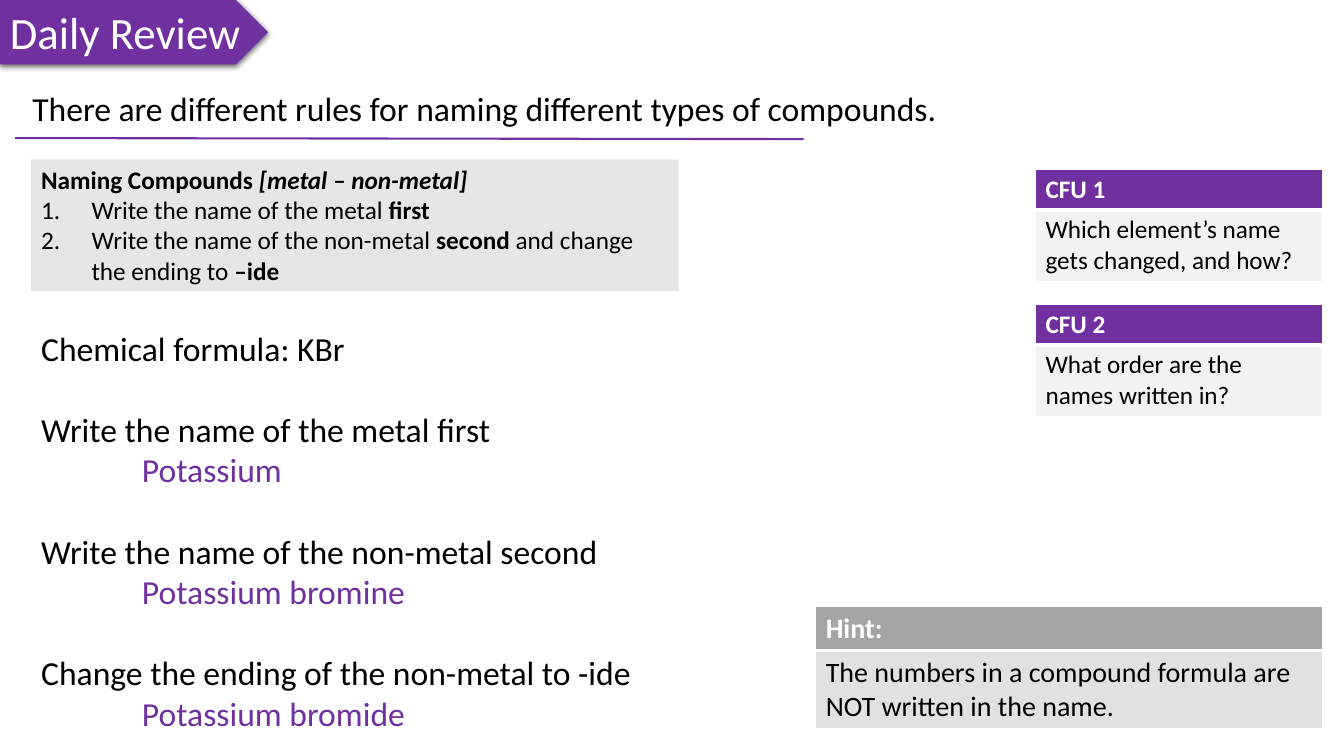
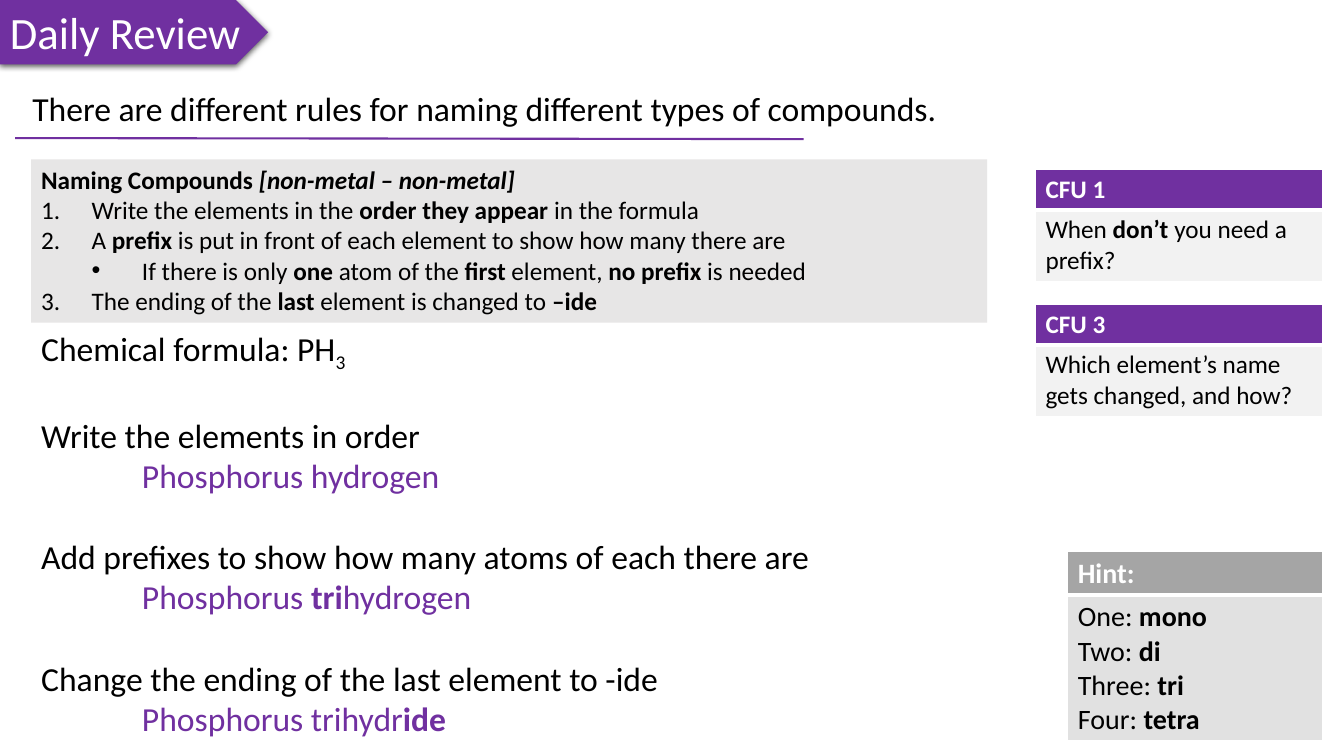
from lxml import etree
from pptx import Presentation
from pptx.dml.color import RGBColor
from pptx.enum.shapes import MSO_CONNECTOR, MSO_SHAPE
from pptx.enum.text import MSO_ANCHOR, MSO_AUTO_SIZE, PP_ALIGN
from pptx.oxml.ns import qn
from pptx.util import Inches, Pt

PENTAGON = MSO_SHAPE.PENTAGON
RECTANGLE = MSO_SHAPE.RECTANGLE
STRAIGHT = MSO_CONNECTOR.STRAIGHT
LEFT = PP_ALIGN.LEFT
TOP = MSO_ANCHOR.TOP
NO_AUTOFIT = MSO_AUTO_SIZE.NONE

FONT = "Calibri"
COLORS = {
    "purple": "7030A0",
    "black": "000000",
    "white": "FFFFFF",
    "rules": "E7E6E6",
    "question": "F2F2F2",
    "hint_header": "A5A5A5",
    "hint": "E1E1E1",
}
TITLE_ONLY = 5
STEP_GAP = Pt(29.3)  # one line of 24 pt text
NUMBER, BULLET = "number", "bullet"


def color(name):
    return RGBColor.from_string(COLORS[name])


def add_element(parent, tag, **attributes):
    element = etree.SubElement(parent, qn(tag))
    for key, value in attributes.items():
        element.set(key, str(value))
    return element


def write(paragraph, text, size=18, fill="black", bold=False, italic=False,
          subscript=False):
    """Append text to the paragraph; parts between asterisks are bold."""
    paragraph.alignment = LEFT
    for index, part in enumerate(text.split("*")):
        if not part:
            continue
        run = paragraph.add_run()
        run.text = part
        run.font.name = FONT
        run.font.size = Pt(size)
        run.font.bold = bold or index % 2 == 1
        run.font.italic = italic
        run.font.color.rgb = color(fill)
        if subscript:
            run._r.get_or_add_rPr().set("baseline", "-25000")


def indent(paragraph, left, hanging=0, marker=None):
    properties = paragraph._p.get_or_add_pPr()
    properties.set("marL", str(Inches(left)))
    properties.set("indent", str(-Inches(hanging)))
    if marker == NUMBER:
        add_element(properties, "a:buFont", typeface="+mj-lt")
        add_element(properties, "a:buAutoNum", type="arabicPeriod")
    elif marker == BULLET:
        add_element(properties, "a:buFont", typeface="Arial")
        add_element(properties, "a:buChar", char="•")


def next_paragraph(frame):
    first = frame.paragraphs[0]
    return frame.add_paragraph() if first.runs else first


def add_borders(cell, bottom):
    properties = cell._tc.get_or_add_tcPr()
    for side, width in (("L", 1), ("R", 1), ("T", 1), ("B", bottom)):
        line = add_element(properties, f"a:ln{side}", w=Pt(width))
        solid = add_element(line, "a:solidFill")
        add_element(solid, "a:srgbClr", val=COLORS["white"])


class ReviewDeck:
    def __init__(self):
        self.presentation = Presentation()
        self.presentation.slide_width = Inches(13.33)
        self.presentation.slide_height = Inches(7.5)
        self.slide = None

    def add_slide(self, title):
        layout = self.presentation.slide_layouts[TITLE_ONLY]
        self.slide = self.presentation.slides.add_slide(layout)
        self.add_title(title)
        self.add_banner("Daily Review")
        self.add_title_rule()

    def add_title(self, text):
        title = self.slide.shapes.title
        title.left, title.top = Inches(0.22), Inches(0.82)
        title.width, title.height = Inches(9.44), Inches(0.5)
        frame = title.text_frame
        frame.auto_size = NO_AUTOFIT
        frame.vertical_anchor = TOP
        write(frame.paragraphs[0], text, size=24)

    def add_panel(self, preset, left, top, width, height, fill):
        panel = self.slide.shapes.add_shape(
            preset, Inches(left), Inches(top), Inches(width), Inches(height))
        panel.shadow.inherit = False
        panel.fill.solid()
        panel.fill.fore_color.rgb = color(fill)
        panel.line.fill.background()
        panel.text_frame.vertical_anchor = TOP
        return panel

    def add_banner(self, text):
        banner = self.add_panel(PENTAGON, 0, 0, 2.66, 0.64, "purple")
        effects = banner._element.spPr.find(qn("a:effectLst"))
        shadow = add_element(effects, "a:outerShdw", blurRad=Pt(4.5),
                             dist=Pt(1.5), dir=90 * 60000, rotWithShape=0)
        shade = add_element(shadow, "a:srgbClr", val=COLORS["black"])
        add_element(shade, "a:alpha", val=63000)
        banner.text_frame.word_wrap = False
        write(banner.text_frame.paragraphs[0], text, size=32, fill="white")

    def add_title_rule(self):
        rule = self.slide.shapes.add_connector(
            STRAIGHT, Inches(0.15), Inches(1.37), Inches(7.97), Inches(1.38))
        rule.line.color.rgb = color("purple")
        rule.line.width = Pt(1.5)
        add_element(rule._element.spPr, "a:effectLst")

    def add_rules(self, kind, rules, width, height):
        panel = self.add_panel(RECTANGLE, 0.31, 1.58, width, height, "rules")
        frame = panel.text_frame
        frame.word_wrap = True
        heading = frame.paragraphs[0]
        write(heading, "Naming Compounds ", bold=True)
        write(heading, f"[{kind}]", bold=True, italic=True)
        for marker, text in rules:
            paragraph = next_paragraph(frame)
            paragraph.level = 1 if marker == BULLET else 0
            indent(paragraph, 0.5 * (paragraph.level + 1), 0.5, marker)
            write(paragraph, text)

    def add_example(self, formula, steps, width, subscript=""):
        box = self.slide.shapes.add_textbox(
            Inches(0.31), Inches(3.2), Inches(width), Inches(4.14))
        frame = box.text_frame
        frame.word_wrap = True
        heading = frame.paragraphs[0]
        write(heading, f"Chemical formula: {formula}", size=24)
        write(heading, subscript, size=24, subscript=True)
        for instruction, answer in steps:
            paragraph = next_paragraph(frame)
            paragraph.space_before = STEP_GAP
            write(paragraph, instruction, size=24)
            paragraph = next_paragraph(frame)
            indent(paragraph, 1)
            write(paragraph, answer, size=24, fill="purple")

    def add_card(self, header, lines, left, top, width, heights, fills, size):
        """Add a table with a header row and one row of text below it."""
        table = self.slide.shapes.add_table(
            2, 1, Inches(left), Inches(top), Inches(width),
            Inches(sum(heights))).table
        table.columns[0].width = Inches(width)
        rows = (([header], "white", True, 3), (lines, "black", False, 1))
        for index, (texts, text_fill, bold, bottom) in enumerate(rows):
            table.rows[index].height = Inches(heights[index])
            cell = table.cell(index, 0)
            add_borders(cell, bottom)
            cell.fill.solid()
            cell.fill.fore_color.rgb = color(fills[index])
            for text in texts:
                write(next_paragraph(cell.text_frame), text, size=size,
                      fill=text_fill, bold=bold)

    def add_questions(self, questions):
        for index, (header, question) in enumerate(questions):
            self.add_card(header, [question], 10.27, 1.68 + 1.34 * index, 2.85,
                          (0.39, 0.71), ("purple", "question"), 18)

    def add_hint(self, lines, left, top, width, body_height):
        self.add_card("Hint:", lines, left, top, width, (0.43, body_height),
                      ("hint_header", "hint"), 20)


def main():
    deck = ReviewDeck()
    title = "There are different rules for naming different types of compounds."

    deck.add_slide(title)
    deck.add_example("KBr", [
        ("Write the name of the metal first", "Potassium"),
        ("Write the name of the non-metal second", "Potassium bromine"),
        ("Change the ending of the non-metal to -ide", "Potassium bromide"),
    ], width=7.66)
    deck.add_rules("metal – non-metal", [
        (NUMBER, "Write the name of the metal *first*"),
        (NUMBER, "Write the name of the non-metal *second* and change "
                 "the ending to *–ide*"),
    ], width=6.42, height=1.31)
    deck.add_questions([
        ("CFU 1", "Which element’s name gets changed, and how?"),
        ("CFU 2", "What order are the names written in?"),
    ])
    deck.add_hint(
        ["The numbers in a compound formula are NOT written in the name."],
        8.09, 6.02, 5.03, 0.77)

    deck.add_slide(title)
    deck.add_example("PH", [
        ("Write the elements in order", "Phosphorus hydrogen"),
        ("Add prefixes to show how many atoms of each there are",
         "Phosphorus *tri*hydrogen"),
        ("Change the ending of the last element to -ide",
         "Phosphorus trihydr*ide*"),
    ], width=8.22, subscript="3")
    deck.add_rules("non-metal – non-metal", [
        (NUMBER, "Write the elements in the *order they appear* in the formula"),
        (NUMBER, "A *prefix* is put in front of each element to show how many "
                 "there are"),
        (BULLET, "If there is only *one* atom of the *first* element, "
                 "*no prefix* is needed"),
        (NUMBER, "The ending of the *last* element is changed to *–ide*"),
    ], width=9.48, height=1.62)
    deck.add_questions([
        ("CFU 1", "When *don’t* you need a prefix?"),
        ("CFU 3", "Which element’s name gets changed, and how?"),
    ])
    deck.add_hint(["One: *mono*", "Two: *di*", "Three: *tri*", "Four: *tetra*"],
                  10.59, 5.47, 2.53, 1.44)

    deck.presentation.save("out.pptx")


if __name__ == "__main__":
    main()
